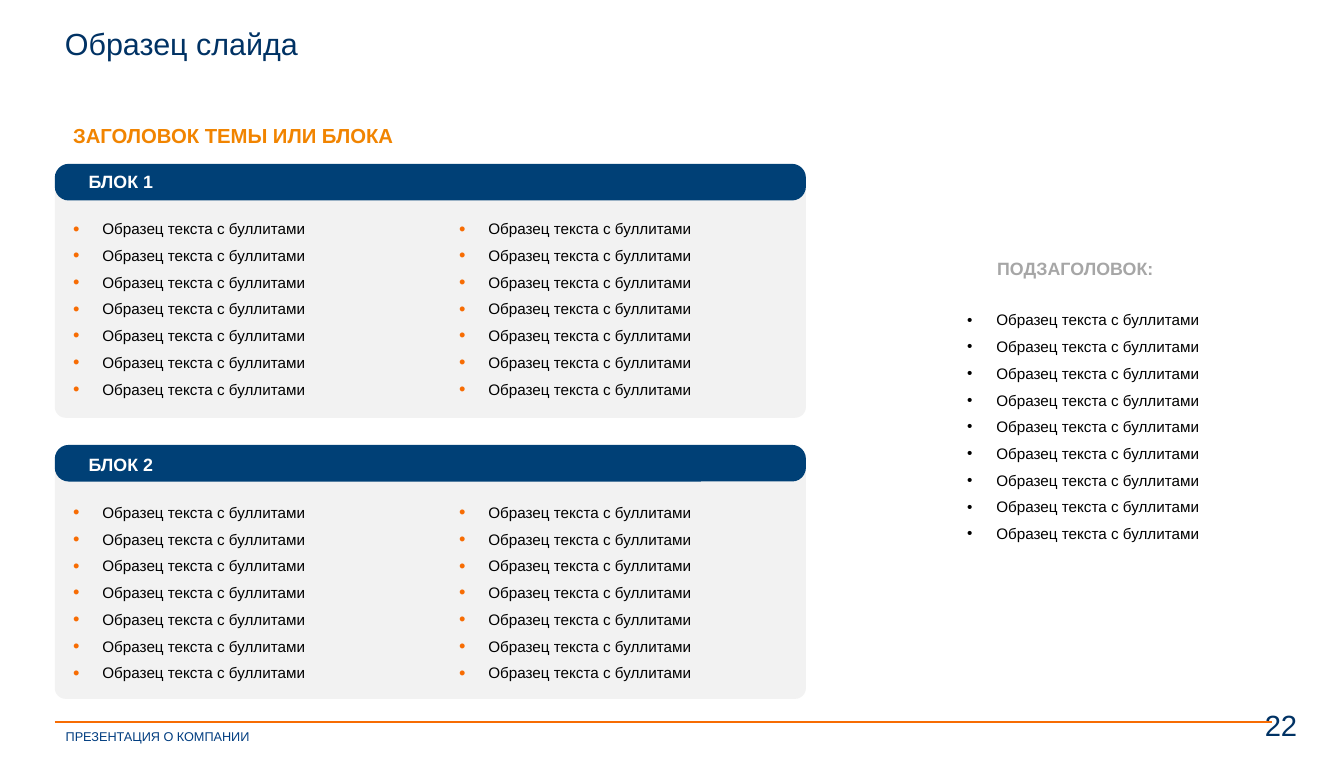
"""Builds a sample slide with two bulleted blocks and a side list."""
from lxml import etree
from pptx import Presentation
from pptx.dml.color import RGBColor
from pptx.enum.shapes import MSO_CONNECTOR, MSO_SHAPE
from pptx.enum.text import MSO_ANCHOR, PP_ALIGN
from pptx.oxml.ns import qn
from pptx.util import Inches, Pt

LINE = MSO_CONNECTOR.STRAIGHT
RECT, ROUND = MSO_SHAPE.RECTANGLE, MSO_SHAPE.ROUNDED_RECTANGLE
TOP, MIDDLE = MSO_ANCHOR.TOP, MSO_ANCHOR.MIDDLE
LEFT, RIGHT, JUSTIFY = PP_ALIGN.LEFT, PP_ALIGN.RIGHT, PP_ALIGN.JUSTIFY

NAVY = RGBColor(0x00, 0x32, 0x64)
BLUE = RGBColor(0x00, 0x3D, 0x80)
BAR = RGBColor(0x00, 0x40, 0x76)
PANEL = RGBColor(0xF2, 0xF2, 0xF2)
ORANGE = RGBColor(0xF7, 0x6C, 0x03)
AMBER = RGBColor(0xF1, 0x84, 0x00)
GRAY = RGBColor(0xA6, 0xA6, 0xA6)
WHITE = RGBColor(0xFF, 0xFF, 0xFF)
BLACK = RGBColor(0x00, 0x00, 0x00)

ITEM = "Образец текста с буллитами"
EDGE, WIDE = 4.08, 55.89

deck = Presentation()
deck.slide_width, deck.slide_height = Inches(14.69), Inches(8.27)
col, row = deck.slide_width / 100, deck.slide_height / 100
slide = deck.slides.add_slide(deck.slide_layouts[6])
shapes = slide.shapes


def place(x, y, w, h):
    """Turn percent shares of the slide into lengths."""
    return round(x * col), round(y * row), round(w * col), round(h * row)


def write(shape, lines, size, color, bold=False, wrap=True, align=LEFT,
          anchor=TOP, inset=(7.2, 3.6, 7.2, 3.6), bullet=False, dot=None):
    """Fill a shape with paragraphs, bulleted on request."""
    frame = shape.text_frame
    frame.word_wrap, frame.vertical_anchor = wrap, anchor
    (frame.margin_left, frame.margin_top,
     frame.margin_right, frame.margin_bottom) = map(Pt, inset)
    for i, line in enumerate(lines):
        para = frame.add_paragraph() if i else frame.paragraphs[0]
        para.alignment = align
        if bullet:
            para.space_after = Pt(6.6)
            props = para._p.get_or_add_pPr()
            props.set("marL", str(Inches(0.32)))
            props.set("indent", str(-Inches(0.32)))
            if dot:
                tint = etree.SubElement(props, qn("a:buClr"))
                etree.SubElement(tint, qn("a:srgbClr"), val=str(dot))
                etree.SubElement(props, qn("a:buSzPct"), val="120000")
            etree.SubElement(props, qn("a:buFont"), typeface="Arial")
            etree.SubElement(props, qn("a:buChar"), char="•")
        run = para.add_run()
        run.text = line
        run.font.name, run.font.size = "Arial", Pt(size)
        run.font.bold, run.font.color.rgb = bold, color
    return frame


rule = shapes.add_connector(LINE, *place(EDGE, 95.41, 94.62, 95.41))
rule.line.color.rgb, rule.line.width = ORANGE, Pt(1.5)
etree.SubElement(rule._element.spPr, qn("a:effectLst"))

roomy = (8.6, 4.3, 8.6, 4.3)
write(shapes.add_textbox(*place(EDGE, 95.53, 15.66, 3.51)),
      ["ПРЕЗЕНТАЦИЯ О КОМПАНИИ"], 10, BLUE, wrap=False, inset=roomy)
write(shapes.add_textbox(*place(80.39, 92.74, 16.95, 6.17)),
      ["22"], 23, NAVY, align=RIGHT, inset=roomy)
title = write(shapes.add_textbox(*place(EDGE, 3.14, 85.7, 5.8)),
              ["Образец слайда"], 24, NAVY, anchor=MIDDLE,
              inset=(7.9, 4.3, 7.9, 4.3))
title.paragraphs[0].line_spacing = 0.9
write(shapes.add_textbox(*place(4.77, 15.72, 44.11, 4.96)),
      ["ЗАГОЛОВОК ТЕМЫ ИЛИ БЛОКА"], 16, AMBER, bold=True)

for name, top, drop in (("БЛОК 1", 21.64, 0.25), ("БЛОК 2", 58.77, 0.6)):
    for y, high, curve, fill in ((top + 0.66, 32.89, 0.044, PANEL),
                                 (top, 4.84, 0.38, BAR)):
        card = shapes.add_shape(ROUND, *place(EDGE, y, WIDE, high))
        card.adjustments[0] = curve
        card.shadow.inherit = False
        card.fill.solid()
        card.fill.fore_color.rgb = fill
        card.line.fill.background()
    write(shapes.add_textbox(*place(5.92, top + drop, 6.26, 4.11)),
          [name], 14, WHITE, bold=True, wrap=False)
    for x in (4.77, 33.49):
        write(shapes.add_textbox(*place(x, top + drop + 6.53, 21.58, 26.48)),
              [ITEM] * 7, 12, BLACK, align=JUSTIFY, bullet=True, dot=ORANGE)

side = shapes.add_shape(RECT, *place(70.66, 33.49, 24.57, 49.58))
side.shadow.inherit = False
side.fill.background()
side.line.color.rgb, side.line.width = WHITE, Pt(1)
write(side, [ITEM] * 9, 12, BLACK, anchor=MIDDLE,
      inset=(13.7, 3.6, 7.2, 26.3), bullet=True)
write(shapes.add_textbox(*place(73.52, 33.49, 13.07, 4.11)),
      ["ПОДЗАГОЛОВОК:"], 14, GRAY, bold=True, wrap=False)

deck.save("out.pptx")
